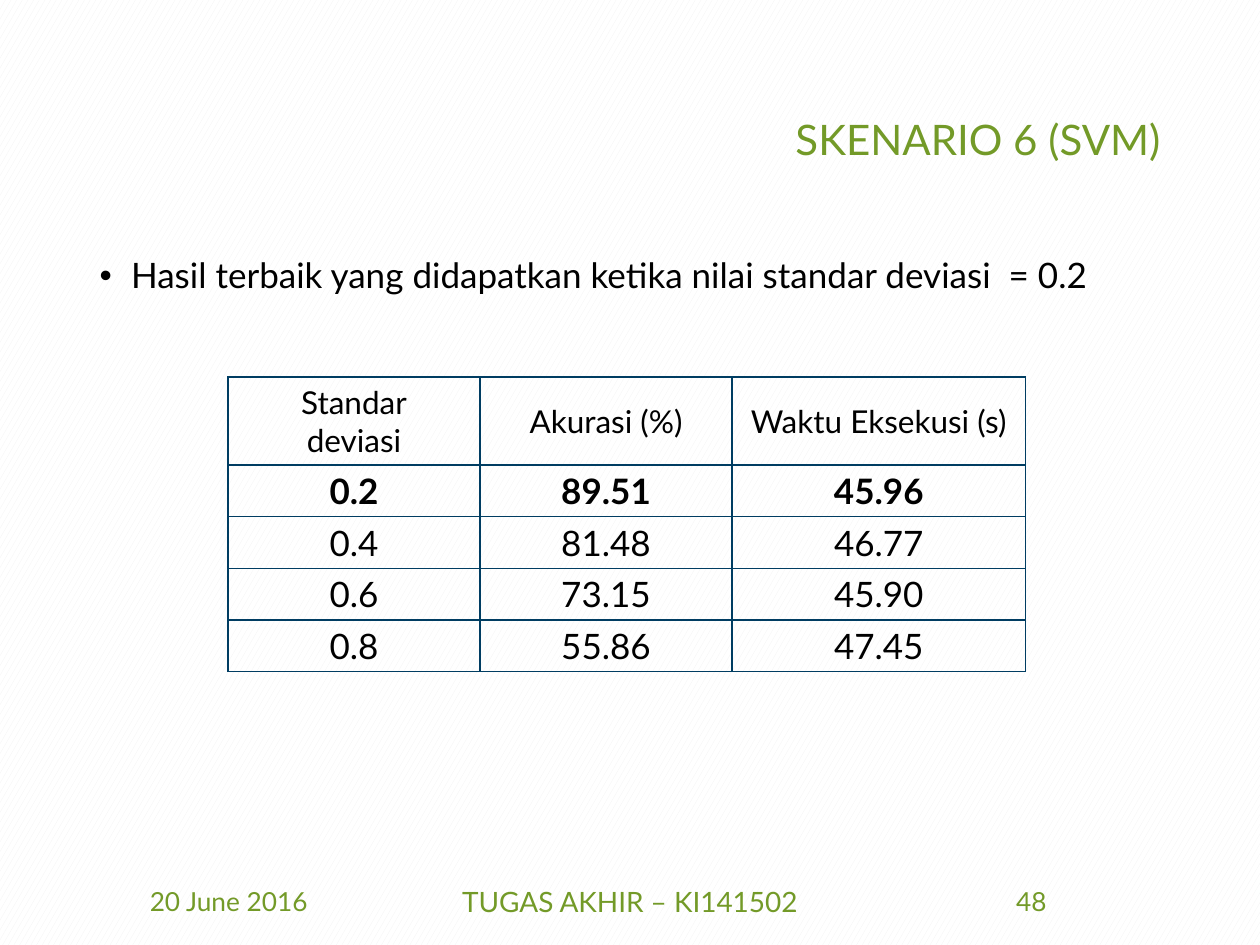
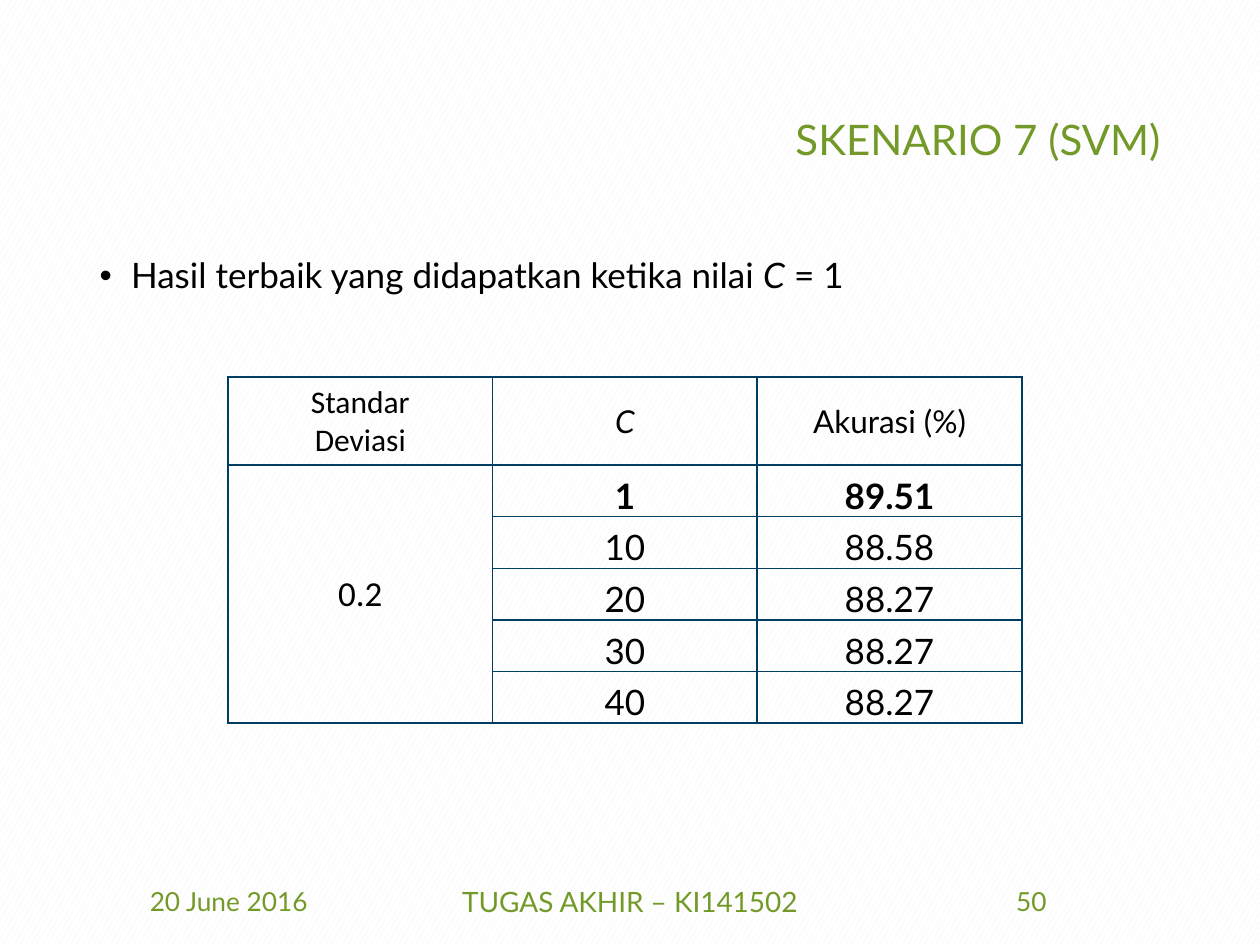
import pptx
import pptx.util
import pptx.dml.color
import pptx.enum.dml
import pptx.enum.text
import pptx.oxml.ns
import lxml.etree

Inches, Pt = pptx.util.Inches, pptx.util.Pt
Color = pptx.dml.color.RGBColor
Align = pptx.enum.text.PP_ALIGN
Anchor = pptx.enum.text.MSO_ANCHOR

GREEN = Color(0x73, 0x9A, 0x28)
NAVY = Color(0x00, 0x3D, 0x62)
BLACK = Color(0, 0, 0)
WHITE = Color(255, 255, 255)
PALE = Color(0xF2, 0xF2, 0xF2)
FONT, ALT = "Lato", "Calibri"

# Content: None marks a cell joined to the one above
SLIDES = [
    {
        "title": "SKENARIO 6 (SVM)",
        "point": ["Hasil terbaik yang didapatkan ketika nilai standar deviasi  = 0.2"],
        "page": "48",
        "cols": [2, 2, 2.33],
        "rows": [
            ["Standar\ndeviasi", "Akurasi (%)", "Waktu Eksekusi (s)"],
            ["0.2", "89.51", "45.96"],
            ["0.4", "81.48", "46.77"],
            ["0.6", "73.15", "45.90"],
            ["0.8", "55.86", "47.45"],
        ],
        "anchor": Anchor.MIDDLE,
    },
    {
        "title": "SKENARIO 7 (SVM)",
        "point": ["Hasil terbaik yang didapatkan ketika nilai ", "C", " = 1"],
        "page": "50",
        "cols": [2.1, 2.1, 2.1],
        "rows": [
            ["Standar\nDeviasi", "C", "Akurasi (%)"],
            ["0.2", "1", "89.51"],
            [None, "10", "88.58"],
            [None, "20", "88.27"],
            [None, "30", "88.27"],
            [None, "40", "88.27"],
        ],
        "anchor": Anchor.BOTTOM,
    },
]
DATE, COURSE = "20 June 2016", "TUGAS AKHIR – KI141502"
ITALIC = "C"
LEFT, WIDTH = 0.69, 8.62
HEAD_H, ROW_H = 0.7, 0.41


def place(shape, left, top, width, height):
    shape.left, shape.top = Inches(left), Inches(top)
    shape.width, shape.height = Inches(width), Inches(height)


def style(para, size, color, align, name=FONT, bold=False):
    para.alignment = align
    font = para.font
    font.size, font.name, font.bold = Pt(size), name, bold
    font.color.rgb = color


def add_title(slide, text):
    shape = slide.shapes.title
    place(shape, LEFT, 0.4, WIDTH, 1.45)
    frame = shape.text_frame
    frame.text = text
    frame.vertical_anchor = Anchor.MIDDLE
    style(frame.paragraphs[0], 24, GREEN, Align.RIGHT)
    frame.paragraphs[0].line_spacing = 0.9


def add_point(slide, parts):
    body = slide.placeholders[1]
    place(body, LEFT, 2, WIDTH, 4.76)
    para = body.text_frame.paragraphs[0]
    for part in parts:
        run = para.add_run()
        run.text = part
        if part == ITALIC:
            run.font.italic = True
    props = para._p.get_or_add_pPr()
    props.set("marL", str(Inches(0.25)))
    props.set("indent", str(-Inches(0.25)))
    bullet = lxml.etree.SubElement(props, pptx.oxml.ns.qn("a:buChar"))
    bullet.set("char", "•")
    style(para, 20, BLACK, Align.LEFT)
    para.line_spacing, para.space_before = 0.9, Pt(0)


def add_footer(slide, page):
    side = 2.25
    for text, left, width, size in [
        (DATE, LEFT, side, 15),
        (COURSE, 3.31, 3.38, 16),
        (page, LEFT + WIDTH - side, side, 15),
    ]:
        box = slide.shapes.add_textbox(
            Inches(left), Inches(6.95), Inches(width), Inches(0.4))
        frame = box.text_frame
        frame.word_wrap = True
        frame.vertical_anchor = Anchor.MIDDLE
        frame.text = text
        style(frame.paragraphs[0], size, GREEN, Align.CENTER)


def add_border(cell):
    qn = pptx.oxml.ns.qn
    props = cell._tc.get_or_add_tcPr()
    for side in ("a:lnL", "a:lnR", "a:lnT", "a:lnB"):
        line = lxml.etree.SubElement(props, qn(side), w=str(Pt(1)))
        fill = lxml.etree.SubElement(line, qn("a:solidFill"))
        lxml.etree.SubElement(fill, qn("a:srgbClr"), val=str(NAVY))


def fill_cell(cell, text, row, name, anchor):
    add_border(cell)
    cell.fill.background()
    if text is None:
        return
    cell.text = text
    cell.vertical_anchor = anchor
    for para in cell.text_frame.paragraphs:
        style(para, 20 if row else 18, BLACK, Align.CENTER, name,
              bold=row == 1 and name == FONT)
        para.font.italic = text == ITALIC


def add_grid(slide, data):
    rows, cols = data["rows"], data["cols"]
    high = [HEAD_H] + [ROW_H] * (len(rows) - 1)
    grid = slide.shapes.add_table(
        len(rows), len(cols), Inches(1.81), Inches(2.99),
        Inches(sum(cols)), Inches(sum(high))).table
    grid.first_row = grid.horz_banding = False
    for col, width in zip(grid.columns, cols):
        col.width = Inches(width)
    for row, height in zip(grid.rows, high):
        row.height = Inches(height)

    joined = rows[-1][0] is None
    for r, row in enumerate(rows):
        for c, text in enumerate(row):
            cell = grid.cell(r, c)
            label = joined and c == 0
            if r and not label:
                cell.margin_left = cell.margin_right = Inches(0.07)
                cell.margin_top = cell.margin_bottom = 0
            middle = r == 0 or label
            fill_cell(cell, text, r, ALT if label else FONT,
                      Anchor.MIDDLE if middle else data["anchor"])
    if joined:
        grid.cell(1, 0).merge(grid.cell(len(rows) - 1, 0))


def main():
    deck = pptx.Presentation()
    deck.slide_width, deck.slide_height = Inches(10), Inches(7.5)

    # Shared background
    fill = deck.slide_master.background.fill
    fill.patterned()
    fill.pattern = pptx.enum.dml.MSO_PATTERN.LARGE_CONFETTI
    fill.fore_color.rgb, fill.back_color.rgb = PALE, WHITE

    for data in SLIDES:
        slide = deck.slides.add_slide(deck.slide_layouts[1])
        add_title(slide, data["title"])
        add_point(slide, data["point"])
        add_footer(slide, data["page"])
        add_grid(slide, data)
    deck.save("out.pptx")


if __name__ == "__main__":
    main()
